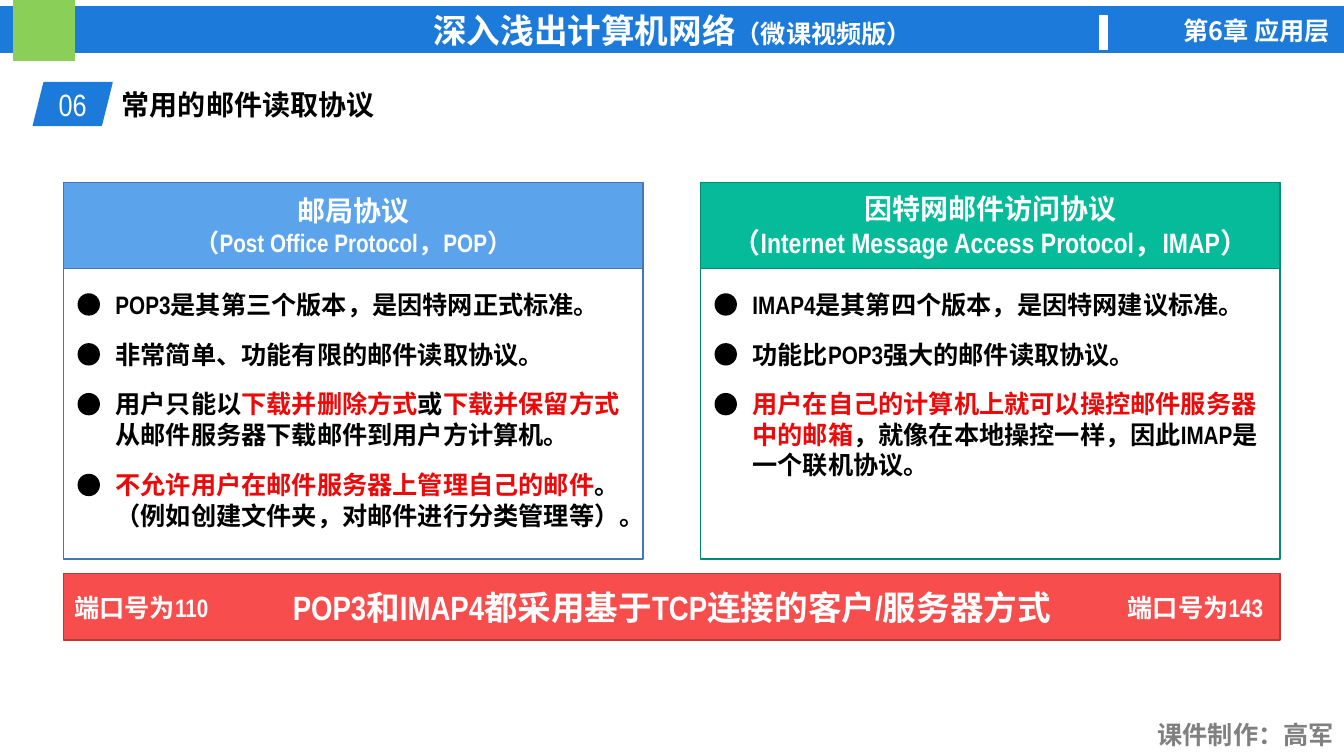
from dataclasses import dataclass

from lxml import etree
from pptx import Presentation, util as u
from pptx.dml.color import RGBColor
from pptx.enum import shapes, text
from pptx.oxml.ns import qn

Pt = u.Pt
SHAPE = shapes.MSO_SHAPE
ALIGN = text.PP_ALIGN


@dataclass(frozen=True)
class Theme:
    latin: str = "Arial Narrow"
    cjk: str = "Noto Sans CJK SC"
    blue: str = "1B7ADA"
    green: str = "8ACF57"
    white: str = "FFFFFF"
    black: str = "000000"
    grey: str = "808080"
    red: str = "EB0909"
    pop: str = "5BA3EB"
    pop_edge: str = "4379AE"
    imap: str = "06BB9A"
    imap_edge: str = "048A72"
    banner: str = "F84D4D"
    banner_edge: str = "B73939"
    title: int = 24
    number: int = 22
    heading: int = 20
    body: int = 18


class Deck:
    LINE, GAP, DOT = 22.1, 13.5, 15

    def __init__(self, theme):
        self.t = theme
        self.prs = Presentation()
        self.prs.slide_width, self.prs.slide_height = Pt(960), Pt(540)
        self.s = self.prs.slides.add_slide(self.prs.slide_layouts[6])

    def fill_text(self, tf, paragraphs, align, **fmt):
        """Fill a frame; each paragraph is a list of (text, format changes)."""
        base = dict(size=self.t.body, bold=True, color=self.t.white, name=self.t.latin)
        for i, runs in enumerate(paragraphs):
            p = tf.add_paragraph() if i else tf.paragraphs[0]
            p.alignment = align
            for words, changes in runs:
                r = p.add_run()
                r.text = words
                values = {**base, **fmt, **changes}
                r.font.color.rgb = RGBColor.from_string(values.pop("color"))
                values["size"] = Pt(values["size"])
                for key, value in values.items():
                    setattr(r.font, key, value)
                etree.SubElement(r.font._element, qn("a:ea"), typeface=self.t.cjk)

    def shape(self, box, fill, edge=None, paragraphs=(), kind=SHAPE.RECTANGLE, **fmt):
        sp = self.s.shapes.add_shape(kind, *map(Pt, box))
        sp.shadow.inherit = False
        sp.fill.solid()
        sp.fill.fore_color.rgb = RGBColor.from_string(fill)
        sp.line.color.rgb = RGBColor.from_string(edge or fill)
        sp.line.width = Pt(1)
        tf = sp.text_frame
        tf.vertical_anchor = text.MSO_ANCHOR.MIDDLE
        self.fill_text(tf, paragraphs, ALIGN.CENTER, **fmt)
        return sp

    def label(self, box, runs, align=ALIGN.LEFT, **fmt):
        tf = self.s.shapes.add_textbox(*map(Pt, box)).text_frame
        tf.word_wrap = True
        tf.auto_size = text.MSO_AUTO_SIZE.SHAPE_TO_FIT_TEXT
        self.fill_text(tf, [runs], align, **fmt)

    def panel(self, left, fill, edge, heading, items):
        """Draw a headed column; each item is (width, line count, runs)."""
        self.shape((left, 130.4, 414, 61.4), fill, edge, heading, size=self.t.heading)
        self.shape((left, 191.9, 414, 207.4), self.t.white, edge)
        top = 203
        for width, lines, runs in items:
            self.shape((left + 10.5, top + 7, self.DOT, self.DOT), self.t.black,
                       kind=SHAPE.OVAL)
            height = lines * self.LINE + 7
            self.label((left + 30, top, width, height), runs, color=self.t.black)
            top += lines * self.LINE + self.GAP


def main():
    t = Theme()
    d = Deck(t)
    small, red = dict(size=t.body), dict(color=t.red)

    d.shape((0, 5, 961, 32.4), t.blue, paragraphs=[
        [("深入浅出计算机网络", {}), ("（微课视频版）", small)]], size=t.title)
    d.shape((10.1, 0, 43.2, 43.2), t.green)
    d.shape((785.5, 11.5, 5.8, 23.8), t.white)
    d.label((800, 7.2, 157, 29), [("第6章 应用层", dict(name=t.cjk))], ALIGN.RIGHT)
    d.label((816.5, 510.5, 143.3, 29), [("课件制作：高军", {})], ALIGN.RIGHT, color=t.grey)

    sp = d.shape((23.8, 59, 56.2, 30.6), t.blue, paragraphs=[[("06", {})]],
                 kind=SHAPE.PARALLELOGRAM, size=t.number, bold=False)
    for side in ("left", "right", "top", "bottom"):
        setattr(sp.text_frame, f"margin_{side}", 0)
    d.label((80, 59, 690.5, 31.5), [("常用的邮件读取协议", {})],
            size=t.heading, color=t.black)

    d.panel(45.4, t.pop, t.pop_edge,
            [[("邮局协议", {})], [("（Post Office Protocol，POP）", small)]],
            [(350, 1, [("POP3是其第三个版本，是因特网正式标准。", {})]),
             (350, 1, [("非常简单、功能有限的邮件读取协议。", {})]),
             (379.5, 2, [("用户只能以", {}), ("下载并删除方式", red), ("或", {}),
                         ("下载并保留方式", red),
                         ("从邮件服务器下载邮件到用户方计算机。", {})]),
             (379.5, 2, [("不允许用户在邮件服务器上管理自己的邮件", red),
                         ("。（例如创建文件夹，对邮件进行分类管理等）。", {})])])
    d.panel(500.4, t.imap, t.imap_edge,
            [[("因特网邮件访问协议", {})],
             [("（Internet Message Access Protocol，IMAP）", {})]],
            [(373.7, 1, [("IMAP4是其第四个版本，是因特网建议标准。", {})]),
             (350, 1, [("功能比POP3强大的邮件读取协议。", {})]),
             (379.5, 3, [("用户在自己的计算机上就可以操控邮件服务器中的邮箱", red),
                         ("，就像在本地操控一样，因此IMAP是一个联机协议。", {})])])

    d.shape((45.4, 409.7, 869, 47.5), t.banner, t.banner_edge,
            [[("POP3和IMAP4都采用基于TCP连接的客户/服务器方式", {})]], size=t.title)
    for left, port in ((46, 110), (798.5, 143)):
        d.label((left, 419.8, 115.2, 29), [(f"端口号为{port}", {})])

    d.prs.save("out.pptx")


if __name__ == "__main__":
    main()
